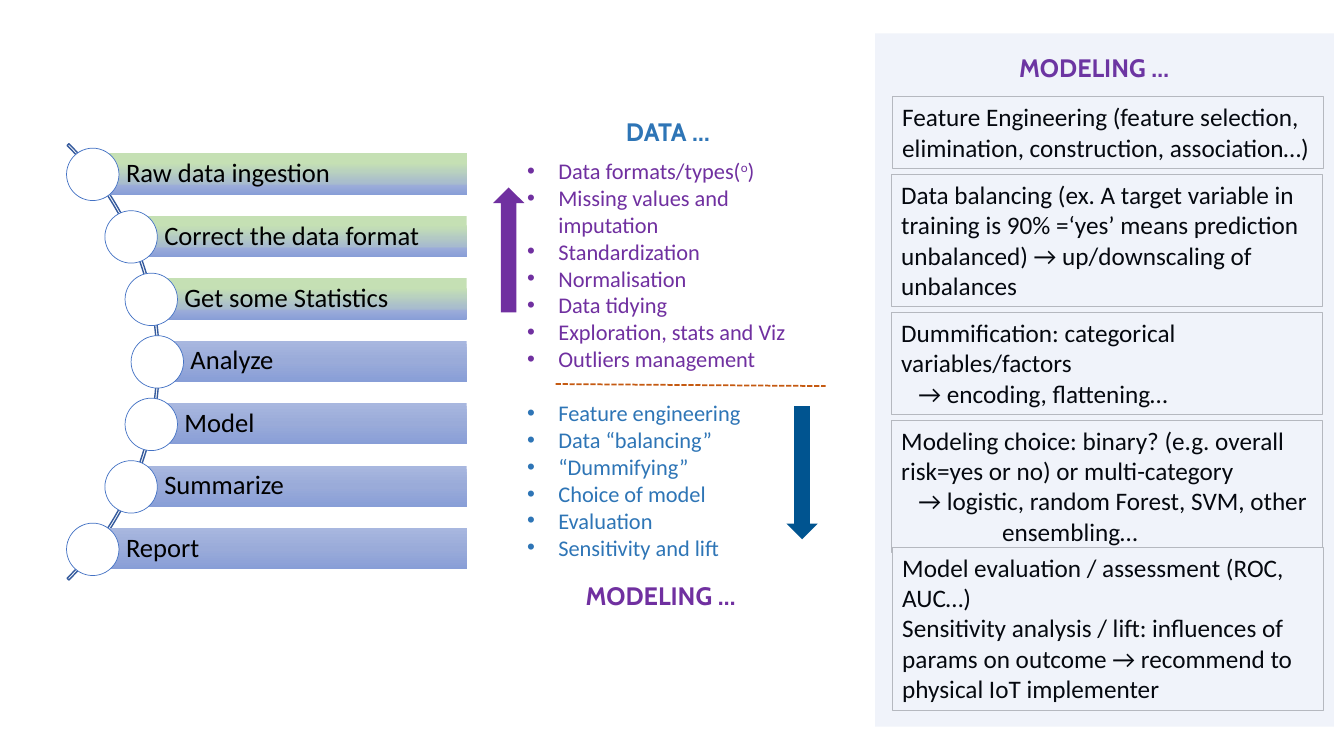
import math

import lxml.etree
import pptx
import pptx.dml.color
import pptx.enum.dml
import pptx.enum.shapes
import pptx.enum.text
import pptx.oxml.ns
import pptx.util

PX = 9144
COLORS = {
    "white": "FFFFFF", "black": "000000", "border": "BFBFBF", "purple": "7030A0",
    "blue": "2E75B6", "navy": "005490", "accent": "4472C4", "arc": "365B9D",
    "orange": "C55A11",
}
DATA_STOPS = [(0, "C5E0B4"), (23, "C5E0B4"), (74, "A7BBCE"), (79, "9AABD9"), (100, "889ED7")]
MODEL_STOPS = [(0, "A8B7DF"), (50, "9AABD9"), (100, "889ED7")]
STEPS = [
    ("Raw data ingestion", DATA_STOPS), ("Correct the data format", DATA_STOPS),
    ("Get some Statistics", DATA_STOPS), ("Analyze", MODEL_STOPS),
    ("Model", MODEL_STOPS), ("Summarize", MODEL_STOPS), ("Report", MODEL_STOPS),
]
DATA_TOPICS = [
    "Data formats/types(^o^)", "Missing values and imputation", "Standardization",
    "Normalisation", "Data tidying", "Exploration, stats and Viz", "Outliers management",
]
MODEL_TOPICS = [
    "Feature engineering", "Data “balancing”", "“Dummifying”", "Choice of model",
    "Evaluation", "Sensitivity and lift",
]
CARDS = [
    ((885, 96, 428, 71), [
        ("Feature Engineering (feature selection, elimination, construction, association…)", 0, 0)]),
    ((884, 173, 428, 131), [
        ("Data balancing (ex. A target variable in training is 90% =‘yes’ means prediction "
         "unbalanced) → up/downscaling of unbalances", 0, 0)]),
    ((884, 310, 428, 101), [
        ("Dummification: categorical variables/factors", 0, 0),
        ("→ encoding, flattening…", 17, 0)]),
    ((884, 417, 428, 131), [
        ("Modeling choice: binary? (e.g. overall risk=yes or no) or multi-category", 0, 0),
        ("→ logistic, random Forest, SVM, other ensembling…", 100, -83)]),
    ((885, 543, 428, 162), [
        ("Model evaluation / assessment (ROC, AUC…)", 0, 0),
        ("Sensitivity analysis / lift: influences of params on outcome → recommend to "
         "physical IoT implementer", 0, 0)]),
]
ARC_CENTER = (-148, 359)
ARC_RADIUS = 306
DOT_ORBIT = 304
STEP_PITCH = 62
BAR_RIGHT = 463
BAR_HEIGHT = 41
DOT_SIZE = 52
SHAPES = pptx.enum.shapes.MSO_SHAPE
ANCHOR = pptx.enum.text.MSO_ANCHOR


def emu(*lengths):
    return [pptx.util.Emu(round(length) * PX) for length in lengths]


def rgb(name):
    return pptx.dml.color.RGBColor.from_string(COLORS[name])


def apply_format(target, values):
    for name, value in values.items():
        setattr(target, name, value)


def add_child(parent, tag, **attributes):
    return lxml.etree.SubElement(parent, pptx.oxml.ns.qn(tag), attributes)


def add_box(slide, kind, box, fill=None, line=None, width=0.75):
    shape = slide.shapes.add_shape(kind, *emu(*box))
    shape.shadow.inherit = False
    if fill:
        shape.fill.solid()
        shape.fill.fore_color.rgb = rgb(fill)
    else:
        shape.fill.background()
    if line:
        shape.line.color.rgb = rgb(line)
        shape.line.width = pptx.util.Pt(width)
    else:
        shape.line.fill.background()
    return shape


def set_frame(shape, left=10, anchor=ANCHOR.TOP):
    margins = emu(left, 5, 10, 5)
    apply_format(shape.text_frame, {
        "word_wrap": True, "vertical_anchor": anchor, "margin_left": margins[0],
        "margin_top": margins[1], "margin_right": margins[2], "margin_bottom": margins[3],
    })
    return shape.text_frame


def add_paragraph(frame, text, size, color="black", font="Calibri", bold=False, **spacing):
    first = frame.paragraphs[0]
    paragraph = frame.add_paragraph() if first.runs else first
    apply_format(paragraph, {"alignment": pptx.enum.text.PP_ALIGN.LEFT, **spacing})
    for index, part in enumerate(text.split("^")):
        run = paragraph.add_run()
        run.text = part
        apply_format(run.font, {"size": pptx.util.Pt(size), "name": font, "bold": bold})
        run.font.color.rgb = rgb(color)
        if index % 2:
            run.font._element.set("baseline", "30000")
    return paragraph


def indent(paragraph, left, first):
    properties = paragraph._p.get_or_add_pPr()
    properties.set("marL", str(left * PX))
    properties.set("indent", str(first * PX))
    return properties


def set_gradient(shape, stops):
    shape.fill.gradient()
    shape.fill.gradient_angle = 270
    stop_list = shape._element.spPr.find(".//" + pptx.oxml.ns.qn("a:gsLst"))
    for stop in list(stop_list):
        stop_list.remove(stop)
    for position, color in stops:
        stop = add_child(stop_list, "a:gs", pos=str(position * 1000))
        add_child(stop, "a:srgbClr", val=color)


def add_heading(slide, text, box, color, fill=None):
    shape = add_box(slide, SHAPES.RECTANGLE, box, fill)
    add_paragraph(set_frame(shape), text, 18, color, "Cabin", True)


def add_step(slide, index, label, stops):
    offset = (index - (len(STEPS) - 1) / 2) * STEP_PITCH
    middle = ARC_CENTER[1] + offset
    left = ARC_CENTER[0] + math.sqrt(DOT_ORBIT ** 2 - offset ** 2)
    bar = add_box(slide, SHAPES.RECTANGLE,
                  (left, middle - BAR_HEIGHT // 2 - 1, BAR_RIGHT - left, BAR_HEIGHT))
    set_gradient(bar, stops)
    add_paragraph(set_frame(bar, 33, ANCHOR.MIDDLE), label, 19, line_spacing=0.9)
    add_box(slide, SHAPES.OVAL,
            (left - DOT_SIZE / 2, middle - DOT_SIZE / 2, DOT_SIZE, DOT_SIZE),
            "white", "accent", 0.5)


def add_card(slide, box, paragraphs):
    frame = set_frame(add_box(slide, SHAPES.RECTANGLE, box, "white", "border"))
    for text, left, first in paragraphs:
        indent(add_paragraph(frame, text, 18), left, first)


def add_topics(slide):
    frame = set_frame(slide.shapes.add_textbox(*emu(513, 151, 298, 471)))
    for topics, color, gap in ((DATA_TOPICS, "purple", 0), (MODEL_TOPICS, "blue", 19.5)):
        for index, topic in enumerate(topics):
            space = pptx.util.Pt(0 if index else gap)
            paragraph = add_paragraph(frame, topic, 16, color, space_before=space)
            properties = indent(paragraph, 31, -31)
            add_child(properties, "a:buFont", typeface="Arial")
            add_child(properties, "a:buChar", char="•")


def add_divider(slide):
    line = slide.shapes.add_connector(
        pptx.enum.shapes.MSO_CONNECTOR.STRAIGHT, *emu(551, 381, 819, 383))
    line.line.color.rgb = rgb("orange")
    apply_format(line.line, {
        "width": pptx.util.Pt(1.25),
        "dash_style": pptx.enum.dml.MSO_LINE.SQUARE_DOT,
    })
    line.line._ln.find(pptx.oxml.ns.qn("a:prstDash")).set("val", "sysDash")
    add_child(line._element.spPr, "a:effectLst")


def add_tint(slide):
    panel = add_box(slide, SHAPES.RECTANGLE, (868, 33, 455, 688), "accent")
    color = panel._element.spPr.find(".//" + pptx.oxml.ns.qn("a:srgbClr"))
    add_child(color, "a:alpha", val="8000")


def main():
    presentation = pptx.Presentation()
    width, height = emu(1333, 750)
    apply_format(presentation, {"slide_width": width, "slide_height": height})
    slide = presentation.slides.add_slide(presentation.slide_layouts[6])
    for box, paragraphs in CARDS:
        add_card(slide, box, paragraphs)
    add_heading(slide, "MODELING …", (1001, 47, 194, 40), "purple", "white")
    arc = add_box(slide, SHAPES.BLOCK_ARC,
                  (ARC_CENTER[0] - ARC_RADIUS, ARC_CENTER[1] - ARC_RADIUS,
                   2 * ARC_RADIUS, 2 * ARC_RADIUS), None, "arc", 1)
    for index, value in enumerate((189, 27, 0.004)):
        arc.adjustments[index] = value
    for index, (label, stops) in enumerate(STEPS):
        add_step(slide, index, label, stops)
    add_divider(slide)
    add_topics(slide)
    add_box(slide, SHAPES.UP_ARROW, (489, 186, 31, 124), "purple")
    add_box(slide, SHAPES.DOWN_ARROW, (780, 403, 31, 132), "navy")
    add_heading(slide, "MODELING …", (571, 571, 194, 40), "purple")
    add_heading(slide, "DATA …", (611, 111, 122, 40), "blue")
    add_tint(slide)
    presentation.save("out.pptx")


if __name__ == "__main__":
    main()
